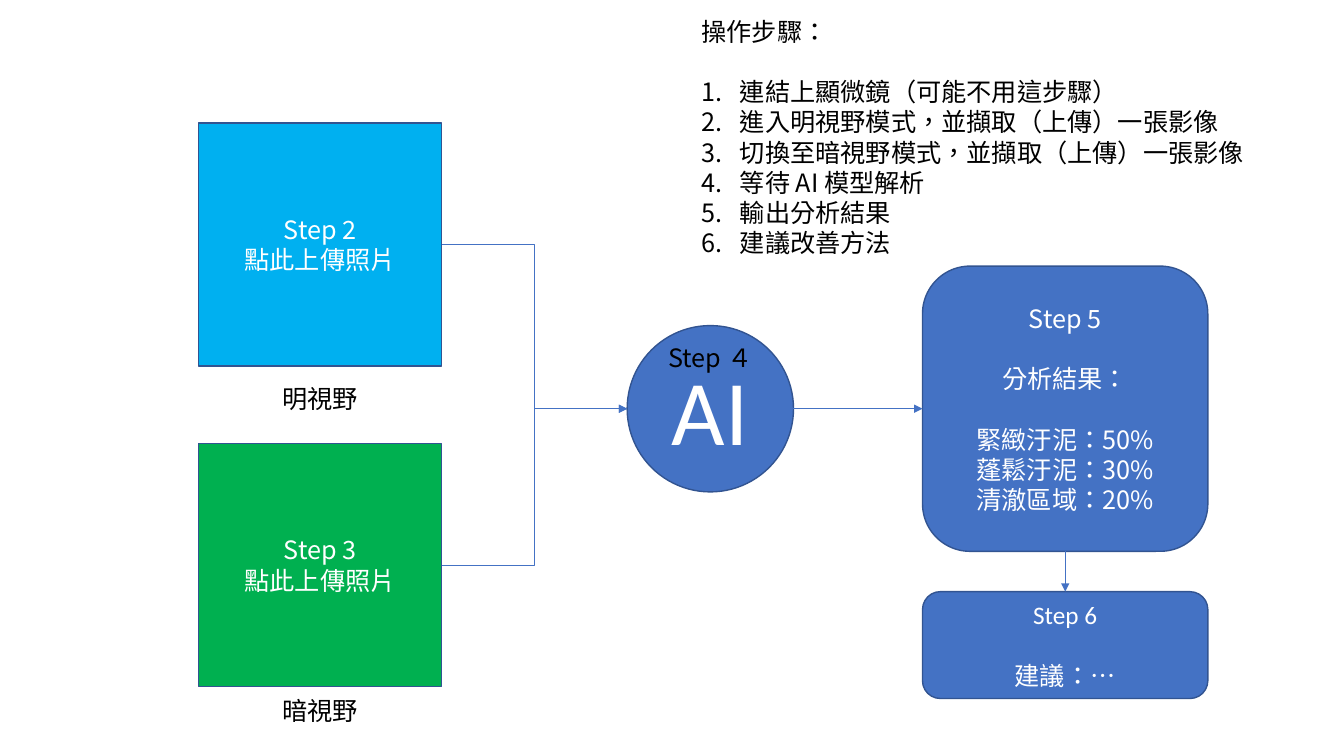
from dataclasses import dataclass
from enum import IntEnum

from lxml.etree import SubElement
from pptx import Presentation
from pptx.dml.color import RGBColor
from pptx.enum.shapes import MSO_CONNECTOR as Link, MSO_SHAPE as Shape
from pptx.enum.text import MSO_ANCHOR as Anchor, MSO_AUTO_SIZE as AutoSize, PP_ALIGN as Align
from pptx.oxml.ns import qn
from pptx.shapes.autoshape import Shape as AutoShape
from pptx.slide import Slide
from pptx.text.text import TextFrame
from pptx.util import Pt

PX = 9144  # 100 px to the inch
CJK_FONT = "Noto Sans CJK SC"
LATIN_FONT = "Calibri"
BLUE, OUTLINE, WHITE, BLACK = "4472C4", "325491", "FFFFFF", "000000"
LINE_GAP = Pt(21.6)  # height of one line of 18 pt text
NUMBER_INDENT = 38


class Side(IntEnum):
    TOP = 0
    LEFT = 1
    BOTTOM = 2
    RIGHT = 3


@dataclass(frozen=True)
class Line:
    text: str
    gap: bool = False
    numbered: bool = False


@dataclass(frozen=True)
class Node:
    kind: Shape
    left: int
    top: int
    width: int
    height: int
    fill: str
    lines: list[Line]
    font: str = CJK_FONT
    size: int = 18


@dataclass(frozen=True)
class Label:
    left: int
    top: int
    width: int
    height: int
    lines: list[Line]
    wrap: bool = False
    align: Align = Align.LEFT


@dataclass(frozen=True)
class Arrow:
    kind: Link
    start: str
    start_side: Side
    end: str
    end_side: Side


NODES = {
    "bright": Node(Shape.RECTANGLE, 197, 122, 241, 241, "00B0F0",
                   [Line("Step 2"), Line("點此上傳照片")]),
    "dark": Node(Shape.RECTANGLE, 197, 440, 241, 241, "00B050",
                 [Line("Step 3"), Line("點此上傳照片")]),
    "ai": Node(Shape.OVAL, 622, 323, 165, 165, BLUE, [Line("AI")], LATIN_FONT, 66),
    "result": Node(Shape.ROUNDED_RECTANGLE, 915, 264, 283, 283, BLUE,
                   [Line("Step 5"), Line("分析結果：", gap=True),
                    Line("緊緻汙泥：50%", gap=True), Line("蓬鬆汙泥：30%"),
                    Line("清澈區域：20%")]),
    "advice": Node(Shape.ROUNDED_RECTANGLE, 915, 587, 283, 106, BLUE,
                   [Line("Step 6"), Line("建議：…", gap=True)], LATIN_FONT),
}

INSTRUCTIONS = [
    "連結上顯微鏡（可能不用這步驟）",
    "進入明視野模式，並擷取（上傳）一張影像",
    "切換至暗視野模式，並擷取（上傳）一張影像",
    "等待 AI 模型解析",
    "輸出分析結果",
    "建議改善方法",
]

LABELS = [
    Label(270, 375, 96, 40, [Line("明視野")]),
    Label(270, 685, 96, 40, [Line("暗視野")]),
    Label(686, 11, 563, 252,
          [Line("操作步驟：")] + [Line(step, gap=index == 0, numbered=True)
                             for index, step in enumerate(INSTRUCTIONS)]),
    Label(371, 335, 667, 40, [Line("Step ４")], wrap=True, align=Align.CENTER),
]

ARROWS = [
    Arrow(Link.ELBOW, "bright", Side.RIGHT, "ai", Side.LEFT),
    Arrow(Link.ELBOW, "dark", Side.RIGHT, "ai", Side.LEFT),
    Arrow(Link.STRAIGHT, "ai", Side.RIGHT, "result", Side.LEFT),
    Arrow(Link.STRAIGHT, "result", Side.BOTTOM, "advice", Side.TOP),
]


def rgb(color: str) -> RGBColor:
    return RGBColor.from_string(color)


def box(part: Node | Label) -> list[int]:
    return [length * PX for length in (part.left, part.top, part.width, part.height)]


def write_lines(frame: TextFrame, lines: list[Line], font: str, size: int,
                color: str, align: Align) -> None:
    frame.text = "\n".join(line.text for line in lines)
    for paragraph, line in zip(frame.paragraphs, lines):
        paragraph.alignment = align
        if line.gap:
            paragraph.space_before = LINE_GAP
        if line.numbered:
            properties = paragraph._p.get_or_add_pPr()
            properties.set("marL", str(NUMBER_INDENT * PX))
            properties.set("indent", str(-NUMBER_INDENT * PX))
            SubElement(properties, qn("a:buAutoNum"), type="arabicPeriod")
        for run in paragraph.runs:
            run.font.name = font
            run.font.size = Pt(size)
            run.font.color.rgb = rgb(color)
            properties = run._r.get_or_add_rPr()
            properties.set("lang", "zh-TW")
            SubElement(properties, qn("a:ea"), typeface=CJK_FONT)


def draw_node(slide: Slide, node: Node) -> AutoShape:
    shape = slide.shapes.add_shape(node.kind, *box(node))
    shape.shadow.inherit = False
    shape.fill.solid()
    shape.fill.fore_color.rgb = rgb(node.fill)
    shape.line.color.rgb = rgb(OUTLINE)
    shape.line.width = Pt(1)
    shape.text_frame.word_wrap = True
    shape.text_frame.vertical_anchor = Anchor.MIDDLE
    write_lines(shape.text_frame, node.lines, node.font, node.size, WHITE, Align.CENTER)
    return shape


def draw_label(slide: Slide, label: Label) -> None:
    frame = slide.shapes.add_textbox(*box(label)).text_frame
    frame.word_wrap = label.wrap
    frame.auto_size = AutoSize.SHAPE_TO_FIT_TEXT
    write_lines(frame, label.lines, CJK_FONT, 18, BLACK, label.align)


def connection_site(shape: AutoShape, side: Side) -> int:
    """An oval has eight sites, two for each side; the other shapes have four."""
    return side * 2 if shape.auto_shape_type == Shape.OVAL else int(side)


def draw_arrow(slide: Slide, arrow: Arrow, nodes: dict[str, AutoShape]) -> None:
    start, end = nodes[arrow.start], nodes[arrow.end]
    connector = slide.shapes.add_connector(arrow.kind, 0, 0, 0, 0)
    connector.begin_connect(start, int(arrow.start_side))
    connector.end_connect(end, int(arrow.end_side))
    links = connector._element.nvCxnSpPr.cNvCxnSpPr
    links.stCxn.idx = connection_site(start, arrow.start_side)
    links.endCxn.idx = connection_site(end, arrow.end_side)
    connector.line.color.rgb = rgb(BLUE)
    connector.line.width = Pt(0.5)
    SubElement(connector.line._get_or_add_ln(), qn("a:tailEnd"), type="triangle")
    SubElement(connector._element.spPr, qn("a:effectLst"))


def main() -> None:
    deck = Presentation()
    deck.slide_width, deck.slide_height = 1333 * PX, 750 * PX
    blank_layout = deck.slide_layouts[6]
    slide = deck.slides.add_slide(blank_layout)
    nodes = {name: draw_node(slide, node) for name, node in NODES.items()}
    for arrow in ARROWS:
        draw_arrow(slide, arrow, nodes)
    for label in LABELS:
        draw_label(slide, label)
    deck.save("out.pptx")


if __name__ == "__main__":
    main()
